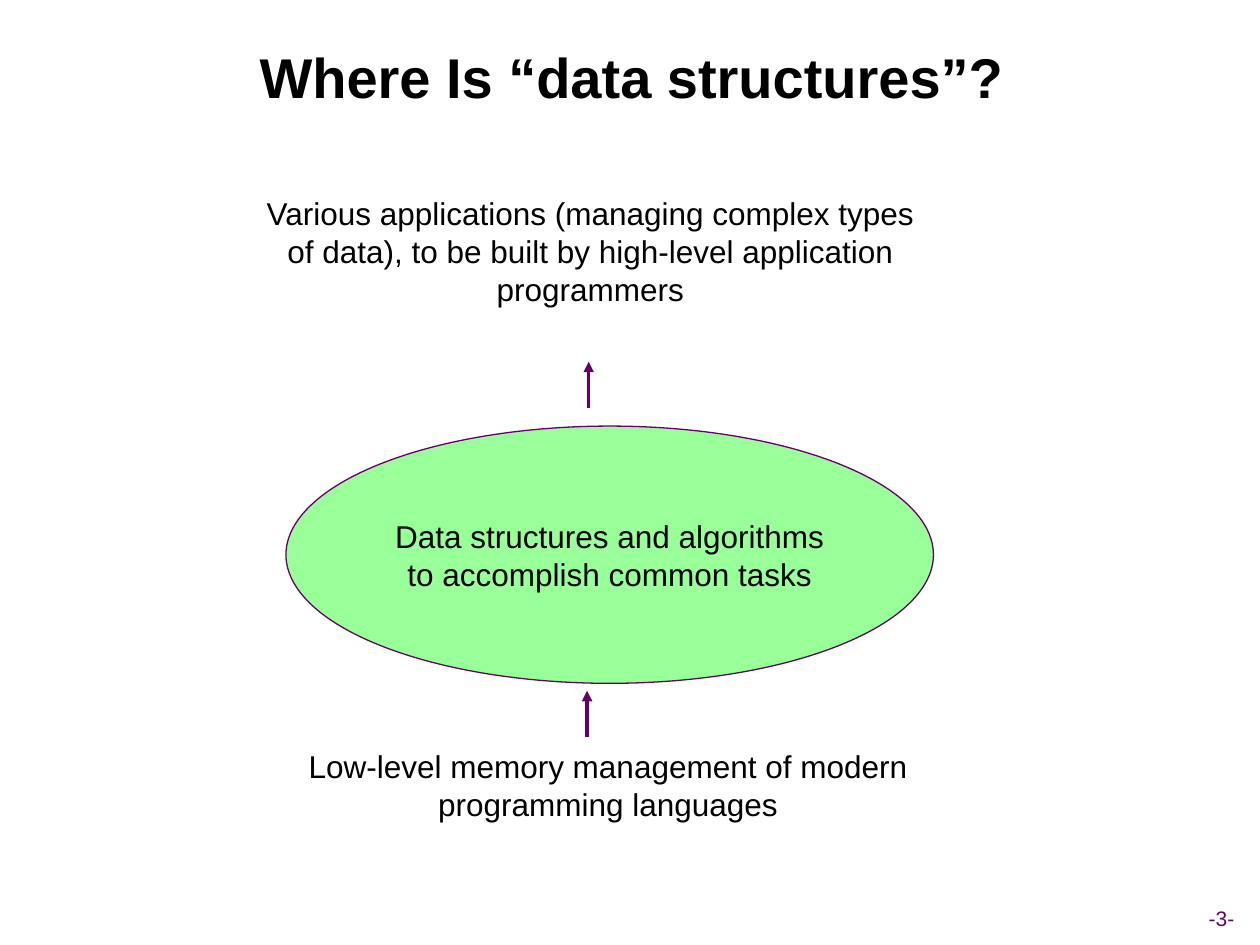
import pptx
import pptx.util
import pptx.dml.color
import pptx.enum.shapes
import pptx.enum.text
import pptx.oxml.ns
import lxml.etree
from dataclasses import dataclass

Pt = pptx.util.Pt
Color = pptx.dml.color.RGBColor
Anchor = pptx.enum.text.MSO_ANCHOR


@dataclass(frozen=True)
class Theme:
    font: str = "Arial"
    ink: Color = Color(0x00, 0x00, 0x00)
    accent: Color = Color(0x66, 0x00, 0x66)
    highlight: Color = Color(0x99, 0xFF, 0x99)
    title: int = 32
    body: int = 18
    number: int = 12


theme = Theme()


def write(box, text, size=theme.body, color=theme.ink, bold=False, anchor=Anchor.TOP, wrap=True):
    frame = box.text_frame
    frame.word_wrap = wrap
    frame.vertical_anchor = anchor
    para = frame.paragraphs[0]
    para.alignment = pptx.enum.text.PP_ALIGN.CENTER
    span = para.add_run()
    span.text = text
    span.font.name = theme.font
    span.font.size = Pt(size)
    span.font.bold = bold
    span.font.color.rgb = color


deck = pptx.Presentation()
deck.slide_width = Pt(720)
deck.slide_height = Pt(540)
page = deck.slides.add_slide(deck.slide_layouts[6])

number = page.shapes.add_textbox(Pt(659.5), Pt(514), Pt(77), Pt(21.6))
write(number, "-3-", size=theme.number, color=theme.accent, anchor=Anchor.MIDDLE, wrap=False)

title = page.shapes.add_textbox(Pt(27.4), Pt(9.4), Pt(667.4), Pt(68.4))
write(title, "Where Is “data structures”?", size=theme.title, bold=True, anchor=Anchor.MIDDLE)

layers = [
    (153.4, 423.4, 50.4, "Low-level memory management of modern programming languages"),
    (143.3, 107.3, 72, "Various applications (managing complex types of data), "
                       "to be built by high-level application programmers"),
]
for left, top, height, text in layers:
    layer = page.shapes.add_textbox(Pt(left), Pt(top), Pt(388), Pt(height))
    write(layer, text)

core = page.shapes.add_shape(
    pptx.enum.shapes.MSO_SHAPE.OVAL, Pt(163.4), Pt(243.5), Pt(370), Pt(147))
core.shadow.inherit = False
core.fill.solid()
core.fill.fore_color.rgb = theme.highlight
core.line.color.rgb = theme.accent
core.line.width = Pt(0.75)
write(core, "Data structures and algorithms to accomplish common tasks", anchor=Anchor.MIDDLE)

for x, bottom in [(335.5, 421.2), (336.4, 233.2)]:
    arrow = page.shapes.add_connector(
        pptx.enum.shapes.MSO_CONNECTOR.STRAIGHT, Pt(x), Pt(bottom), Pt(x), Pt(bottom - 26.5))
    arrow.line.color.rgb = theme.accent
    arrow.line.width = Pt(2)
    qualify = pptx.oxml.ns.qn
    lxml.etree.SubElement(arrow.line._get_or_add_ln(), qualify("a:tailEnd"), type="triangle")
    lxml.etree.SubElement(arrow._element.spPr, qualify("a:effectLst"))

deck.save("out.pptx")
